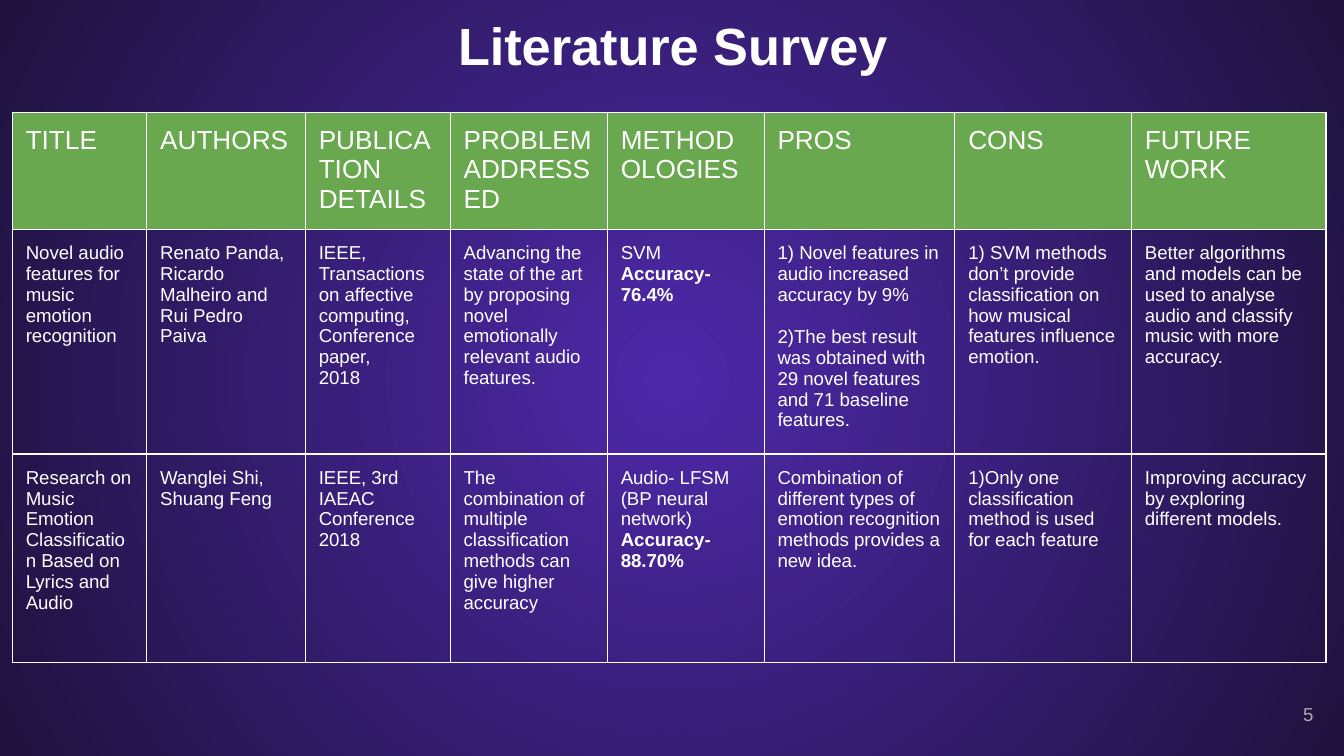
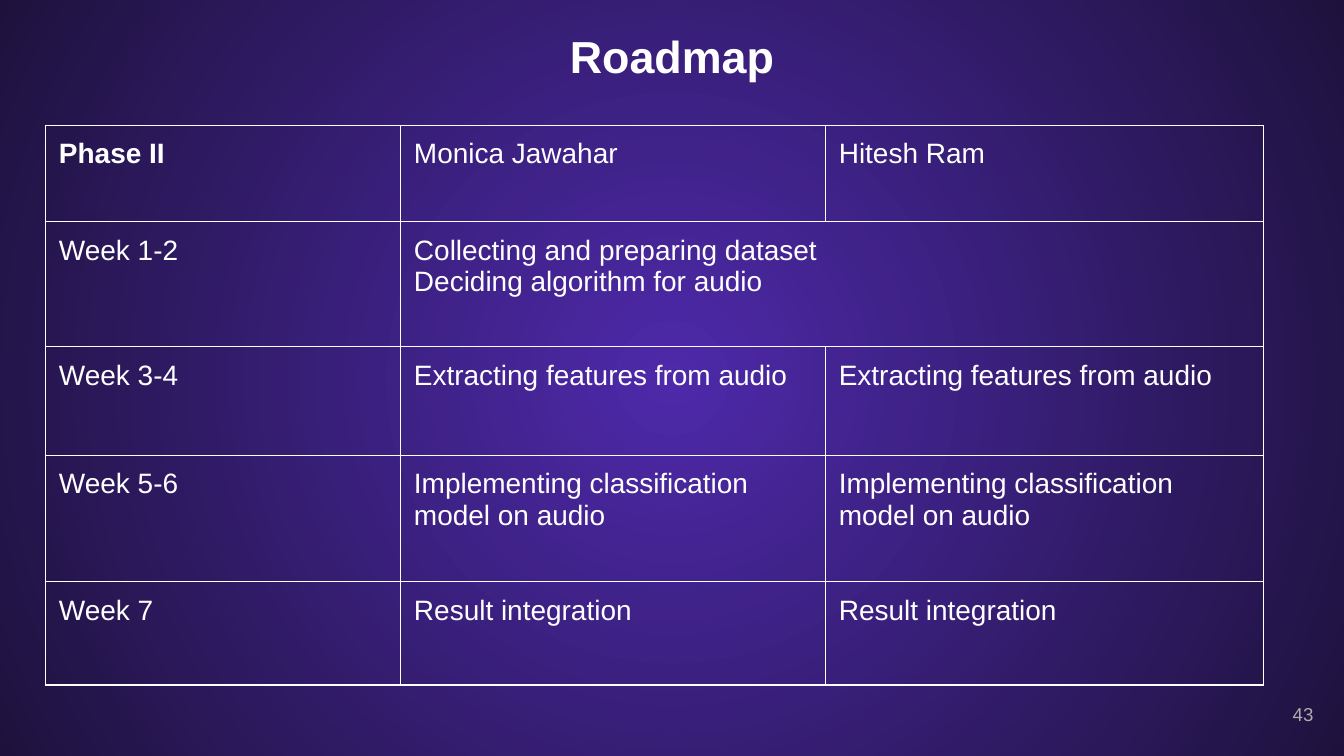
from lxml.etree import SubElement
from pptx import Presentation
from pptx.dml.color import RGBColor
from pptx.enum.text import MSO_ANCHOR, MSO_AUTO_SIZE, PP_ALIGN
from pptx.oxml import parse_xml
from pptx.oxml.ns import nsdecls, qn
from pptx.util import Pt

COLORS = {"glow": "4E29AA", "night": "1E123D", "white": "FFFFFF",
          "header": "6AA84F", "number": "ADADAD"}
FONT = "Arial"
INSET = Pt(7.2)
NUMBER_BOX = (667.5, 367.2, 43.2, 31)

BOLD = {"bold": True}
GAP = {"before": 11.5}

SURVEY_HEADS = ["TITLE", "AUTHORS", "PUBLICATION DETAILS", "PROBLEM ADDRESSED",
                "METHODOLOGIES", "PROS", "CONS", "FUTURE WORK"]
SURVEY_PAPERS = [
    ["Novel audio features for music emotion recognition",
     "Renato Panda, Ricardo Malheiro and Rui Pedro Paiva",
     ["IEEE, Transactions on affective computing,", "Conference paper,", "2018"],
     "Advancing the state of the art by proposing novel emotionally relevant audio features.",
     ["SVM", ("Accuracy-", BOLD), ("76.4%", BOLD)],
     ["1) Novel features in audio increased accuracy by 9%",
      ("2)The best result was obtained with 29 novel features and 71 baseline features.", GAP)],
     "1) SVM methods don’t provide classification on how musical features influence emotion.",
     "Better algorithms and models can be used to analyse audio and classify music "
     "with more accuracy."],
    ["Research on Music Emotion Classification Based on Lyrics and Audio",
     "Wanglei Shi, Shuang Feng",
     "IEEE, 3rd IAEAC Conference 2018",
     "The combination of multiple classification methods can give higher accuracy",
     ["Audio- LFSM (BP neural network)", ("Accuracy-", BOLD), ("88.70%", BOLD)],
     "Combination of different types of emotion recognition methods provides a new idea.",
     "1)Only one classification method is used for each feature",
     "Improving accuracy by exploring different models."],
]

ROADMAP_HEADS = [[("Phase II", BOLD)], "Monica Jawahar", "Hitesh Ram"]
ROADMAP_SHARED = ("Week 1-2", ["Collecting and preparing dataset",
                               "Deciding algorithm for audio"])
ROADMAP_WEEKS = [("Week 3-4", "Extracting features from audio"),
                 ("Week 5-6", "Implementing classification model on audio"),
                 ("Week 7", "Result integration")]


def rgb(name):
    """Return the named colour."""
    return RGBColor.from_string(COLORS[name])


def write(tf, text, size=10, color="white", bold=False, align=PP_ALIGN.LEFT, before=0):
    """Fill a frame with one text or a list of texts, each with optional overrides."""
    for i, item in enumerate([text] if isinstance(text, str) else text):
        words, own = (item, {}) if isinstance(item, str) else item
        p = tf.paragraphs[0] if i == 0 else tf.add_paragraph()
        p.alignment = align
        p.space_before = Pt(own.get("before", before))
        r = p.add_run()
        r.text = words
        r.font.name, r.font.size = FONT, Pt(size)
        r.font.bold = own.get("bold", bold)
        r.font.color.rgb = rgb(color)


def frame(tf, anchor):
    """Give a text frame the shared insets, wrapping and anchor."""
    tf.word_wrap, tf.auto_size = True, MSO_AUTO_SIZE.NONE
    tf.vertical_anchor = anchor
    tf.margin_left = tf.margin_right = tf.margin_top = tf.margin_bottom = INSET


def paint_background(master):
    """Put the circular gradient behind every slide."""
    fill = master.background.fill
    fill.gradient()
    for stop, name in zip(fill.gradient_stops, ("glow", "night")):
        stop.color.rgb = rgb(name)
    grad = master.element.find(".//" + qn("a:gradFill"))
    grad.replace(grad.find(qn("a:lin")), parse_xml(
        f'<a:path {nsdecls("a")} path="circle">'
        '<a:fillToRect l="50000" t="50000" r="50000" b="50000"/></a:path>'))


def add_slide(prs, title, box, size, anchor, number):
    """Add a slide with its title and page number."""
    s = prs.slides.add_slide(prs.slide_layouts[0])
    sub = s.placeholders[1].element
    sub.getparent().remove(sub)
    sp = s.shapes.title
    sp.left, sp.top, sp.width, sp.height = map(Pt, box)
    frame(sp.text_frame, anchor)
    write(sp.text_frame, title, size=size, bold=True, align=PP_ALIGN.CENTER)
    tf = s.shapes.add_textbox(*map(Pt, NUMBER_BOX)).text_frame
    frame(tf, MSO_ANCHOR.MIDDLE)
    write(tf, number, color="number", align=PP_ALIGN.RIGHT)
    return s


def style_cell(cell, fill=None):
    """Set the insets, white borders and fill of a cell."""
    cell.margin_left = cell.margin_right = cell.margin_top = cell.margin_bottom = INSET
    tcPr = cell._tc.get_or_add_tcPr()
    for side in ("lnL", "lnR", "lnT", "lnB"):
        ln = SubElement(tcPr, qn("a:" + side), w=str(Pt(0.75)))
        SubElement(SubElement(ln, qn("a:solidFill")), qn("a:srgbClr"), val=COLORS["white"])
    if fill:
        cell.fill.solid()
        cell.fill.fore_color.rgb = rgb(fill)
    else:
        cell.fill.background()


def add_grid(s, left, top, widths, heights, rows, sizes, head_fill=None):
    """Add a table whose first row takes its own size and fill; None joins the cell to its left."""
    sp = s.shapes.add_table(len(heights), len(widths), Pt(left), Pt(top),
                            Pt(sum(widths)), Pt(sum(heights)))
    table = sp.table
    table.first_row = table.horz_banding = False
    for col, width in zip(table.columns, widths):
        col.width = Pt(width)
    for i, (row, height) in enumerate(zip(rows, heights)):
        table.rows[i].height = Pt(height)
        for j, text in enumerate(row):
            cell = table.cell(i, j)
            style_cell(cell, None if i else head_fill)
            if text is None:
                table.cell(i, j - 1).merge(cell)
            else:
                write(cell.text_frame, text, size=sizes[min(i, 1)])


def survey_slide(prs):
    """Build the comparison of published papers."""
    s = add_slide(prs, "Literature Survey", (21.6, 0, 677.5, 48.2), 28,
                  MSO_ANCHOR.BOTTOM, "5")
    add_grid(s, 6.6, 60.2, [72, 85, 77.6, 84.2, 84, 102.2, 94.6, 104.2],
             [62.6, 120.4, 111.9], [SURVEY_HEADS, *SURVEY_PAPERS], (14, 10), "header")


def roadmap_slide(prs):
    """Build the weekly plan of both members."""
    s = add_slide(prs, "Roadmap", (24.5, 6.5, 671, 46.1), 24, MSO_ANCHOR.MIDDLE, "43")
    rows = [ROADMAP_HEADS, [*ROADMAP_SHARED, None]]
    rows += [[week, task, task] for week, task in ROADMAP_WEEKS]
    add_grid(s, 24.4, 67.1, [190.2, 227.6, 234.8], [51.6, 67, 58.2, 67.6, 55.6],
             rows, (15, 15))


def main():
    """Build and save the presentation."""
    prs = Presentation()
    prs.slide_width, prs.slide_height = Pt(720), Pt(405)
    paint_background(prs.slide_master)
    survey_slide(prs)
    roadmap_slide(prs)
    prs.save("out.pptx")


if __name__ == "__main__":
    main()
